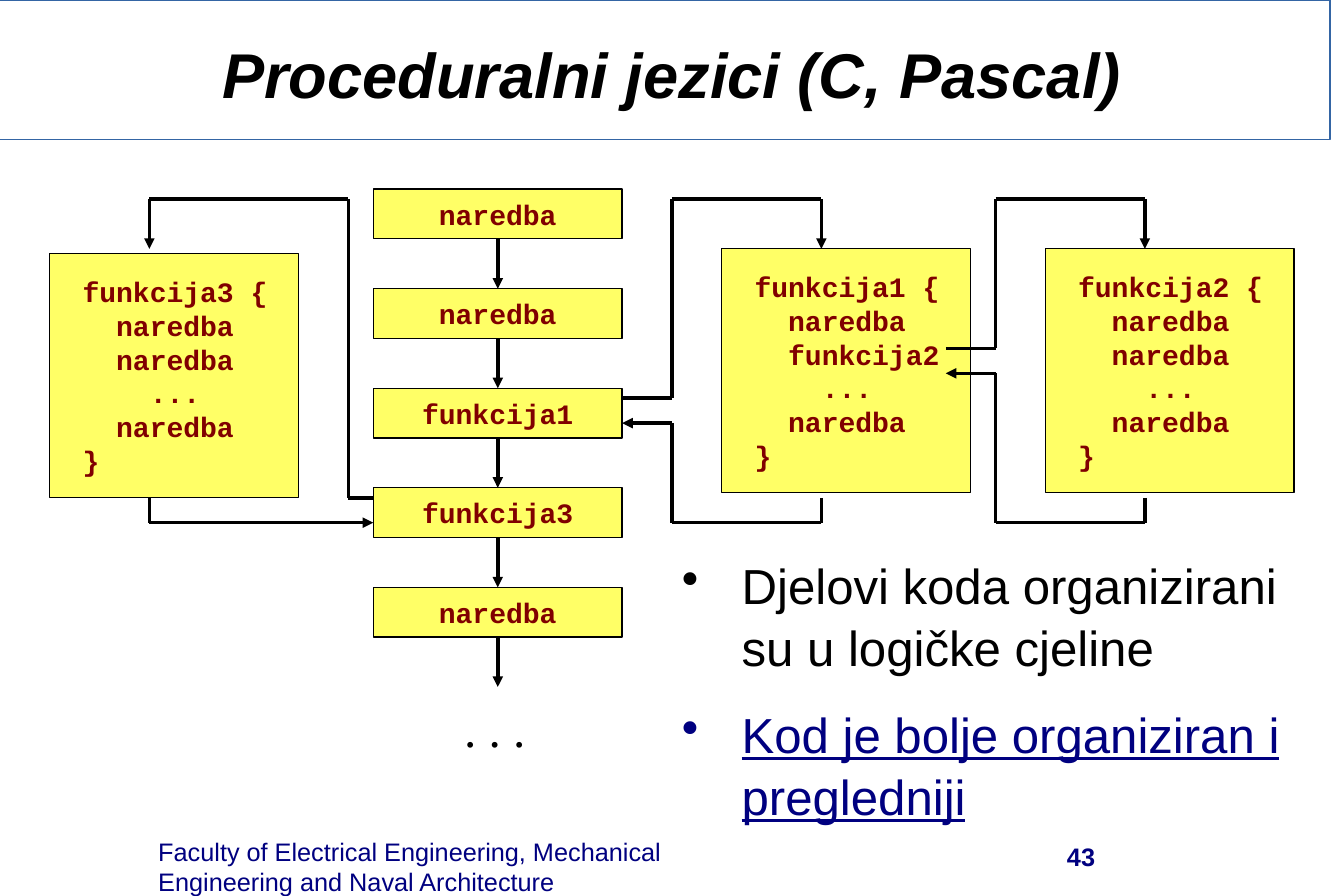
"""Build the slide on procedural languages on a 27 by 18 grid."""
from lxml import etree
from pptx import Presentation
from pptx import util as u
from pptx.dml.color import RGBColor
from pptx.enum import shapes, text
from pptx.oxml.ns import qn

HUE = {"ink": "000000", "navy": "000080", "code": "800000",
       "box": "FFFF66", "paper": "FFFFFF", "rule": "3465A4"}
CODE = dict(font="Courier New", size=16, hue="code", bold=True)
NOTE = dict(size=14.4, hue="navy")
CELL = u.Cm(1)

deck = Presentation()
deck.slide_width, deck.slide_height = 27 * CELL, 18 * CELL
slide = deck.slides.add_slide(deck.slide_layouts[6])


def write(words, x, y, w, h, fill=None, edge="ink", font="Arial", size=28, hue="ink",
          bold=False, italic=False, align="LEFT", anchor="MIDDLE", inset=0, wrap=True):
    area = [round(n * CELL) for n in (x, y, w, h)]
    if fill:
        shape = slide.shapes.add_shape(shapes.MSO_SHAPE.RECTANGLE, *area)
        shape.shadow.inherit = False
        shape.fill.solid()
        shape.fill.fore_color.rgb = RGBColor.from_string(HUE[fill])
        shape.line.color.rgb = RGBColor.from_string(HUE[edge])
        shape.line.width = 0
    else:
        shape = slide.shapes.add_textbox(*area)
    frame = shape.text_frame
    frame.margin_left = round(inset * CELL)
    frame.margin_top = frame.margin_right = frame.margin_bottom = 0
    frame.word_wrap = wrap
    frame.vertical_anchor = text.MSO_ANCHOR[anchor]
    frame.text = words
    for para in frame.paragraphs:
        para.alignment = text.PP_ALIGN[align]
        for run in para.runs:
            run.font.name, run.font.size = font, u.Pt(size)
            run.font.bold, run.font.italic = bold, italic
            run.font.color.rgb = RGBColor.from_string(HUE[hue])
    return shape


def link(start, end, head=False):
    ends = [round(n * CELL) for n in (*start, *end)]
    line = slide.shapes.add_connector(shapes.MSO_CONNECTOR.STRAIGHT, *ends)
    line.line.color.rgb = RGBColor.from_string(HUE["ink"])
    line.line.width = 0
    if head:
        etree.SubElement(line.line._get_or_add_ln(), qn("a:tailEnd"), type="triangle")
    etree.SubElement(line._element.spPr, qn("a:effectLst"))
    return line


write("", -0.28, 0, 27, 2.8, fill="paper", edge="rule")
write("Proceduralni jezici (C, Pascal)", 0, 0, 27, 2.95,
      size=36, bold=True, italic=True, align="CENTER")

steps = ["naredba", "naredba", "funkcija1", "funkcija3", "naredba"]
last = None
for row, step in enumerate(steps):
    top = 3.8 + 2 * row
    box = write(step, 7.5, top, 5, 1, fill="box", align="CENTER", **CODE)
    arrow = link((10, top + 1), (10, top + 2), head=True)
    arrow.begin_connect(box, 2)
    if last:
        last.end_connect(box, 0)
    last = arrow
write(". . .", 9.32, 14.02, 1.24, 1.1, font="Times New Roman",
      align="CENTER", anchor="TOP", wrap=False)

for name, call, x, y in [("funkcija1", "funkcija2", 14.5, 5),
                         ("funkcija2", "naredba", 21, 5),
                         ("funkcija3", "naredba", 1, 5.1)]:
    body = f"{name} {{\n  naredba\n  {call}\n    ...\n  naredba\n}}"
    write(body, x, y, 5, 4.9, fill="box", inset=0.66, wrap=False, **CODE)

routes = [
    [(12.5, 8), (13.5, 8), (13.5, 4), (16.5, 4), (16.5, 5)],
    [(16.5, 10), (16.5, 10.5), (13.5, 10.5), (13.5, 8.5), (12.5, 8.5)],
    [(19, 7), (20, 7), (20, 4), (23, 4), (23, 5)],
    [(23, 10), (23, 10.5), (20, 10.5), (20, 7.5), (19, 7.5)],
    [(7.5, 10), (7, 10), (7, 4), (3, 4), (3, 5)],
    [(3, 10), (3, 10.5), (7.5, 10.5)],
]
for route in routes:
    for start, end in zip(route, route[1:]):
        link(start, end, head=end == route[-1])

points = write("Djelovi koda organizirani su u logičke cjeline\n"
               "Kod je bolje organiziran i pregledniji",
               13.5, 11.1, 13, 4.9, anchor="TOP").text_frame.paragraphs
for para in points:
    para.line_spacing = 1.05
    para.space_after = u.Pt(14.2)
    props = para._p.get_or_add_pPr()
    props.set("marL", str(u.Cm(1.4)))
    props.set("indent", str(u.Cm(-1.2)))
    etree.SubElement(props, qn("a:buChar"), char="•")
gain = points[1].runs[0].font
gain.underline = True
gain.color.rgb = RGBColor.from_string(HUE["navy"])

write("Faculty of Electrical Engineering, Mechanical Engineering and Naval Architecture",
      3.18, 16.8, 10.34, 1.2, **NOTE)
write("43", 20, 16.6, 2, 1.2, bold=True, align="RIGHT", **NOTE)

deck.save("out.pptx")
